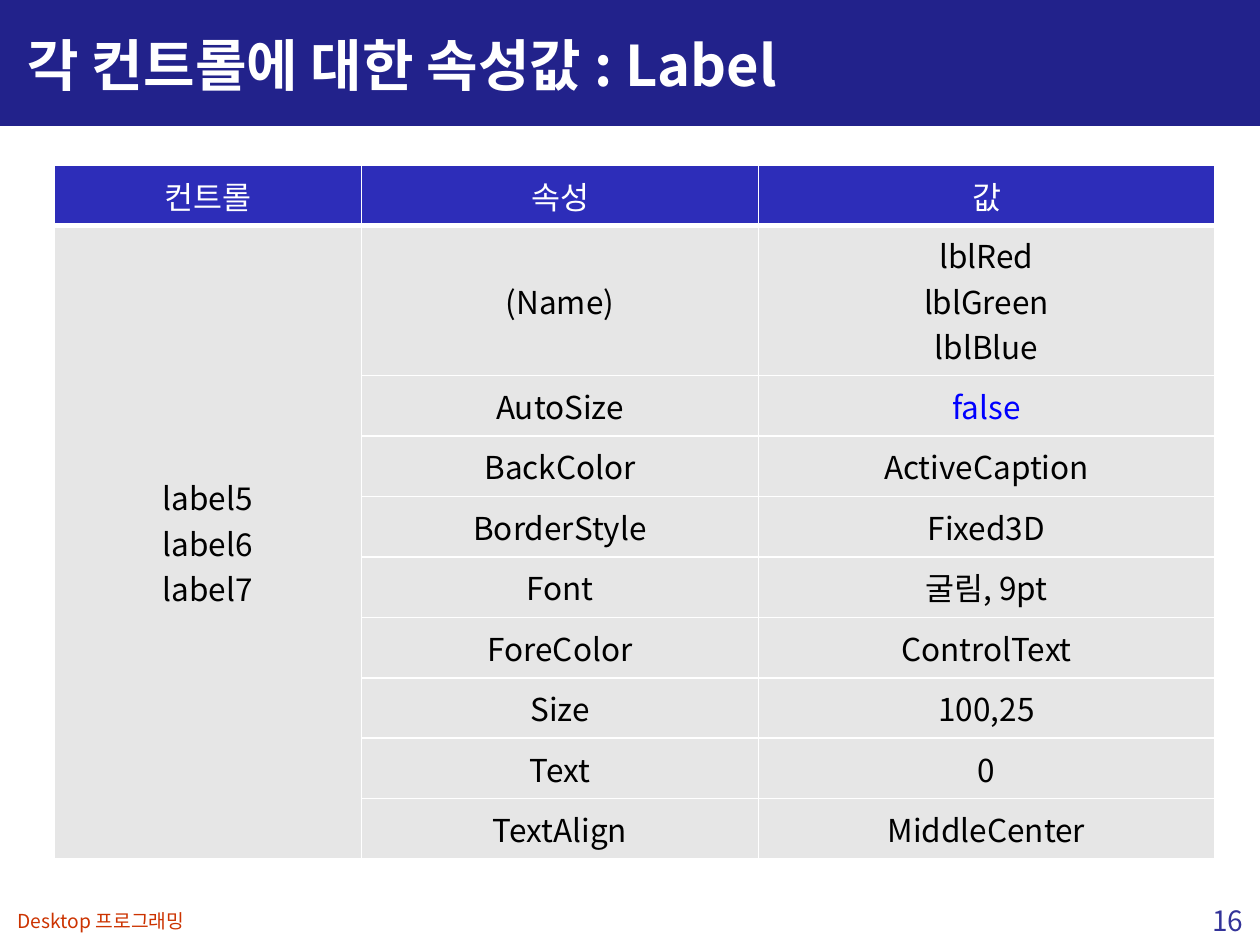
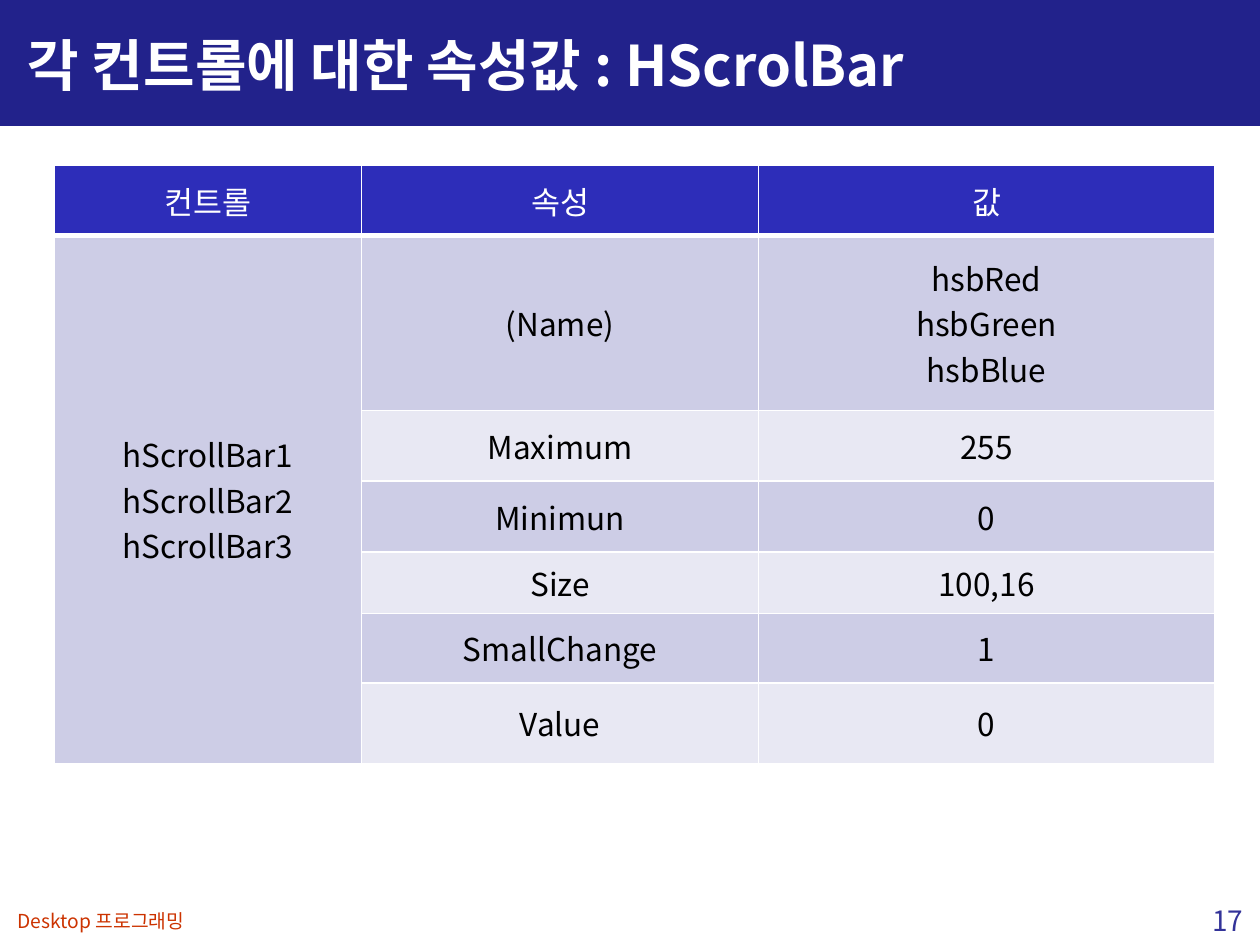
"""Build two slides that list the property values of form controls."""
from dataclasses import dataclass
from itertools import cycle

from lxml.etree import SubElement
from pptx import Presentation
from pptx.dml.color import RGBColor
from pptx.enum.shapes import MSO_SHAPE
from pptx.enum.text import MSO_ANCHOR, MSO_AUTO_SIZE, PP_ALIGN
from pptx.oxml import parse_xml
from pptx.oxml.ns import nsdecls, qn
from pptx.util import Emu, Pt

PX = 9144
FONT = "Noto Sans CJK KR"
COLORS = {
    "band": "22228B",
    "header": "2D2DB9",
    "white": "FFFFFF",
    "black": "000000",
    "value": "0000FF",
    "footer": "CC3300",
    "number": "333399",
    "gray": "E6E6E6",
    "lavender": "CDCDE6",
    "pale": "E8E8F3",
}
HEADINGS = ("컨트롤", "속성", "값")
COLUMN_WIDTHS = (244, 315, 362)
TITLE_START = "각 컨트롤에 대한 속성값 : "
FOOTER = "Desktop 프로그래밍"


@dataclass(frozen=True)
class Box:
    left: int
    top: int
    width: int
    height: int

    def emu(self) -> tuple:
        return tuple(px(n) for n in (self.left, self.top, self.width, self.height))


@dataclass(frozen=True)
class Style:
    size: int
    color: str
    align: PP_ALIGN = PP_ALIGN.CENTER
    bold: bool = False


@dataclass(frozen=True)
class Sheet:
    number: int
    control: str
    names: str
    properties: tuple
    row_heights: tuple
    fills: tuple
    highlight: str = ""


BAND_BOX = Box(0, 0, 1000, 99)
TITLE_BOX = Box(12, 10, 976, 82)
FOOTER_BOX = Box(4, 717, 523, 28)
NUMBER_BOX = Box(949, 712, 51, 37)
TABLE_LEFT, TABLE_TOP = 43, 131

TITLE = Style(32, "white", PP_ALIGN.LEFT, True)
FOOT = Style(11, "footer", PP_ALIGN.LEFT)
NUMBER = Style(16, "number")
HEAD = Style(18, "white")
BODY = Style(18, "black")
HIGHLIGHT = Style(18, "value")

SHEETS = (
    Sheet(
        16, "Label", "label5\nlabel6\nlabel7",
        (
            ("(Name)", "lblRed\nlblGreen\nlblBlue"),
            ("AutoSize", "false"),
            ("BackColor", "ActiveCaption"),
            ("BorderStyle", "Fixed3D"),
            ("Font", "굴림, 9pt"),
            ("ForeColor", "ControlText"),
            ("Size", "100,25"),
            ("Text", "0"),
            ("TextAlign", "MiddleCenter"),
        ),
        (48, 119) + (48,) * 8, ("gray",), "false",
    ),
    Sheet(
        17, "HScrolBar", "hScrollBar1\nhScrollBar2\nhScrollBar3",
        (
            ("(Name)", "hsbRed\nhsbGreen\nhsbBlue"),
            ("Maximum", "255"),
            ("Minimun", "0"),
            ("Size", "100,16"),
            ("SmallChange", "1"),
            ("Value", "0"),
        ),
        (56, 139, 56, 56, 49, 55, 64), ("lavender", "pale"),
    ),
)


def px(n: int) -> Emu:
    return Emu(n * PX)


def rgb(name: str) -> RGBColor:
    return RGBColor.from_string(COLORS[name])


def write(tf, text: str, style: Style) -> None:
    for i, line in enumerate(text.split("\n")):
        p = tf.paragraphs[0] if i == 0 else tf.add_paragraph()
        p.alignment = style.align
        r = p.add_run()
        r.text = line
        r.font.name = FONT
        r.font.size = Pt(style.size)
        r.font.bold = style.bold
        r.font.color.rgb = rgb(style.color)
        SubElement(r.font._element, qn("a:ea")).set("typeface", FONT)


def add_band(s) -> None:
    sp = s.shapes.add_shape(MSO_SHAPE.RECTANGLE, *BAND_BOX.emu())
    sp.shadow.inherit = False
    sp.fill.solid()
    sp.fill.fore_color.rgb = rgb("band")
    sp.line.color.rgb = rgb("band")
    sp.line.width = Pt(2)
    s.shapes._spTree.insert(2, sp._element)


def set_title(s, text: str) -> None:
    sp = s.shapes.title
    sp.left, sp.top, sp.width, sp.height = TITLE_BOX.emu()
    tf = sp.text_frame
    tf.auto_size = MSO_AUTO_SIZE.NONE
    tf.vertical_anchor = MSO_ANCHOR.MIDDLE
    write(tf, text, TITLE)


def add_label(s, box: Box, text: str, style: Style, wrap: bool) -> None:
    tf = s.shapes.add_textbox(*box.emu()).text_frame
    tf.word_wrap = wrap
    tf.vertical_anchor = MSO_ANCHOR.MIDDLE
    write(tf, text, style)


def set_borders(cell, top: int, bottom: int) -> None:
    tc_pr = cell._tc.get_or_add_tcPr()
    widths = {"lnL": 1, "lnR": 1, "lnT": top, "lnB": bottom}
    for i, (side, width) in enumerate(widths.items()):
        tc_pr.insert(i, parse_xml(
            f'<a:{side} {nsdecls("a")} w="{Pt(width)}"><a:solidFill>'
            f'<a:srgbClr val="{COLORS["white"]}"/></a:solidFill></a:{side}>'
        ))


def add_property_table(s, sheet: Sheet) -> None:
    rows = [HEADINGS] + [("", *pair) for pair in sheet.properties]
    box = Box(TABLE_LEFT, TABLE_TOP, sum(COLUMN_WIDTHS), sum(sheet.row_heights))
    table = s.shapes.add_table(len(rows), len(HEADINGS), *box.emu()).table
    table.first_row = table.horz_banding = False
    for column, width in zip(table.columns, COLUMN_WIDTHS):
        column.width = px(width)
    fills = cycle(sheet.fills)
    for i, (texts, height) in enumerate(zip(rows, sheet.row_heights)):
        table.rows[i].height = px(height)
        fill = next(fills) if i else "header"
        for j, text in enumerate(texts):
            cell = table.cell(i, j)
            cell.vertical_anchor = MSO_ANCHOR.MIDDLE
            cell.fill.solid()
            cell.fill.fore_color.rgb = rgb(fill if i == 0 or j else sheet.fills[0])
            set_borders(cell, 3 if i == 1 else 1, 1 if i else 3)
            if text:
                body = HIGHLIGHT if text == sheet.highlight else BODY
                write(cell.text_frame, text, body if i else HEAD)
    names = table.cell(1, 0)
    names.merge(table.cell(len(rows) - 1, 0))
    write(names.text_frame, sheet.names, BODY)


def add_sheet(prs, sheet: Sheet) -> None:
    s = prs.slides.add_slide(prs.slide_layouts[5])
    add_band(s)
    add_label(s, FOOTER_BOX, FOOTER, FOOT, True)
    add_label(s, NUMBER_BOX, str(sheet.number), NUMBER, False)
    set_title(s, TITLE_START + sheet.control)
    add_property_table(s, sheet)


def main() -> None:
    prs = Presentation()
    prs.slide_width, prs.slide_height = px(1000), px(750)
    for sheet in SHEETS:
        add_sheet(prs, sheet)
    prs.save("out.pptx")


if __name__ == "__main__":
    main()
